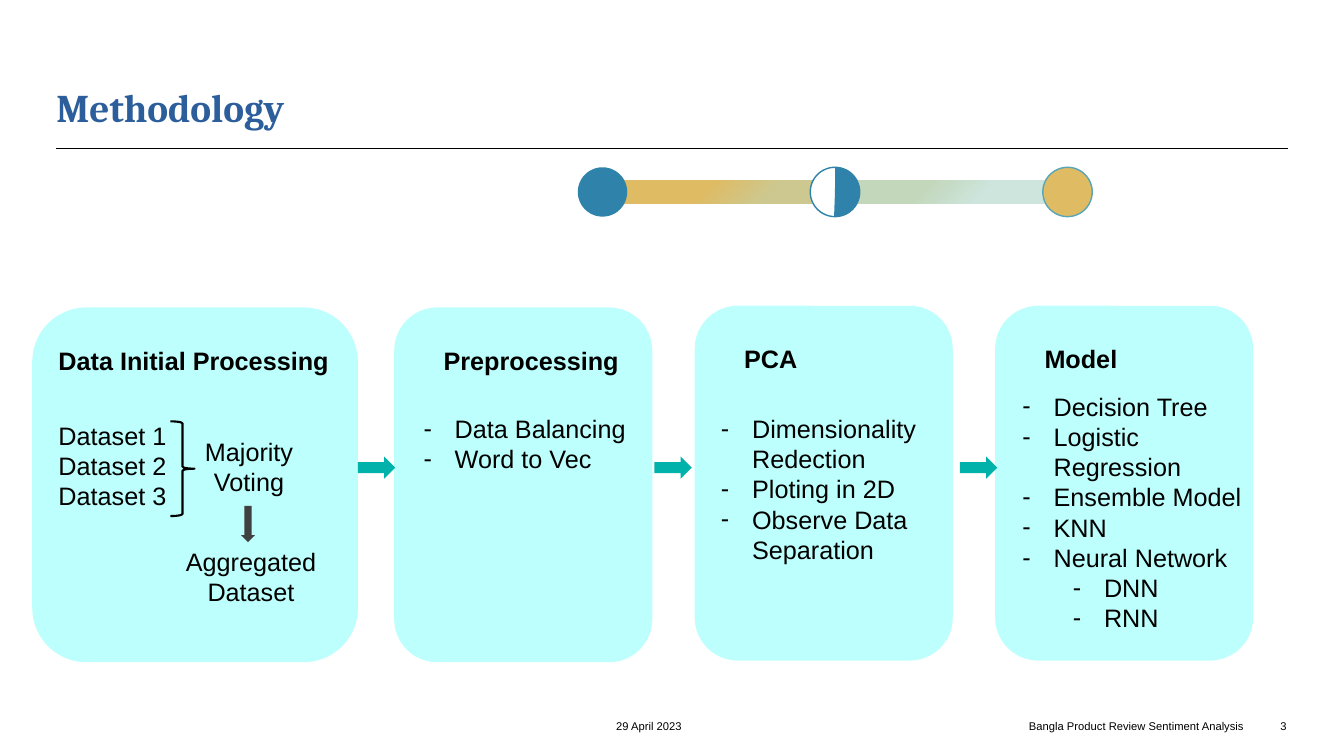
import pptx
import pptx.util
import pptx.dml.color
import pptx.enum.shapes
import pptx.enum.text
import pptx.oxml.ns
import lxml.etree

COLORS = {
    "ink": "000000", "title": "2C5E9B", "panel": "BDFFFC", "arrow": "00B2A9",
    "down": "404040", "blue": "2F82AA", "gold": "DFBB63", "rim": "58A5B6",
    "white": "FFFFFF", "olive": "CDC88F", "sage": "C3D7BB", "mint": "CDE5DD",
}
RGB = {name: pptx.dml.color.RGBColor.from_string(c) for name, c in COLORS.items()}
MSO = pptx.enum.shapes.MSO_SHAPE
ALIGN = pptx.enum.text.PP_ALIGN
ANCHOR = pptx.enum.text.MSO_ANCHOR
qn = pptx.oxml.ns.qn

prs = pptx.Presentation()
prs.slide_width = pptx.util.Inches(13.33)
prs.slide_height = pptx.util.Inches(7.5)
COL, ROW = prs.slide_width / 100, prs.slide_height / 100
s = prs.slides.add_slide(prs.slide_layouts[6])


def add_shape(kind, x, y, w, h, fill=None, line=None, width=1):
    """Place a preset shape on a grid of 100 columns by 100 rows."""
    sp = s.shapes.add_shape(kind, int(x * COL), int(y * ROW), int(w * COL), int(h * ROW))
    sp.shadow.inherit = False
    if fill:
        sp.fill.solid()
        sp.fill.fore_color.rgb = RGB[fill]
    else:
        sp.fill.background()
    if line:
        sp.line.color.rgb = RGB[line]
        sp.line.width = pptx.util.Pt(width)
    else:
        sp.line.fill.background()
    return sp


def add_text(text, x, y, w, h, size=18, bold=False, font="Arial", color="ink",
             align=ALIGN.LEFT, anchor=ANCHOR.TOP):
    """Place a text box without margins on the same grid."""
    tb = s.shapes.add_textbox(int(x * COL), int(y * ROW), int(w * COL), int(h * ROW))
    tf = tb.text_frame
    tf.word_wrap = True
    tf.vertical_anchor = anchor
    tf.margin_left = tf.margin_right = tf.margin_top = tf.margin_bottom = 0
    tf.text = text
    for p in tf.paragraphs:
        p.alignment = align
        for r in p.runs:
            r.font.name, r.font.size, r.font.bold = font, pptx.util.Pt(size), bold
            r.font.color.rgb = RGB[color]
    return tf


# Title and rule
tf = add_text("Methodology", 4.2, 12.13, 31, 5.2, 28, True, "Cambria", "title",
              anchor=ANCHOR.BOTTOM)
tf.paragraphs[0].line_spacing = 0.9
rule = s.shapes.add_connector(pptx.enum.shapes.MSO_CONNECTOR.STRAIGHT,
                              int(4.2 * COL), int(19.6 * ROW),
                              int(95.8 * COL), int(19.6 * ROW))
rule.line.color.rgb = RGB["ink"]
rule.line.width = pptx.util.Pt(0.75)
lxml.etree.SubElement(rule._element.spPr, qn("a:effectLst"))

# Progress track: gradient bars, then three dots
for i, stops in enumerate([[(0.26, "olive"), (0.58, "gold")],
                           [(0.34, "mint"), (0.65, "sage")]]):
    bar = add_shape(MSO.RECTANGLE, 46.44 + 17.25 * i, 23.87, 14.25, 3.07)
    bar.fill.gradient()
    for stop, (position, color) in zip(bar.fill.gradient_stops, stops):
        stop.position = position
        stop.color.rgb = RGB[color]
    grad = bar._element.spPr.find(qn("a:gradFill"))
    grad.remove(grad.find(qn("a:lin")))
    radial = lxml.etree.SubElement(grad, qn("a:path"), path="circle")
    lxml.etree.SubElement(radial, qn("a:fillToRect"), l="100000", t="100000")
    lxml.etree.SubElement(grad, qn("a:tileRect"), r="-100000", b="-100000")

DOT_X, DOT_STEP, DOT_BOX = 42.99, 17.3, (22.13, 3.68, 6.53)
for i, (fill, line) in enumerate([("blue", None), ("white", "blue"), ("gold", "rim")]):
    add_shape(MSO.OVAL, DOT_X + DOT_STEP * i, *DOT_BOX, fill, line)
half = add_shape(MSO.PIE, DOT_X + DOT_STEP, *DOT_BOX, "blue")
half.adjustments[0], half.adjustments[1] = 162.13, 55.27

# Panels: heading, left, top, width, heading inset, heading width
PANELS = [
    ("Data Initial Processing", 2.4, 40.67, 24.23, 1.95, 21.68),
    ("Preprocessing", 29.33, 40.67, 19.2, 3.68, 13.65),
    ("PCA", 51.69, 40.45, 19.2, 3.68, 13.65),
    ("Model", 74.04, 40.45, 19.2, 3.68, 13.65),
]
for heading, x, y, w, inset, heading_w in PANELS:
    add_shape(MSO.ROUNDED_RECTANGLE, x, y, w, 46.93, "panel")
    add_text(heading, x + inset, y + 5, heading_w, 5.2, bold=True)

# First panel: datasets are merged by voting
add_text("Dataset 1\nDataset 2\nDataset 3", 4.35, 55.6, 8.55, 12.67)
add_shape(MSO.RIGHT_BRACE, 12.68, 55.73, 1.8, 12.53, line="ink", width=1.5)
add_text("Majority Voting", 14.78, 57.73, 7.5, 7.6, align=ALIGN.CENTER)
add_shape(MSO.DOWN_ARROW, 17.93, 66.93, 1.05, 4.8, "down")
add_text("Aggregated Dataset", 12.75, 72.27, 11.85, 7.6, align=ALIGN.CENTER)

# Other panels: dashed lists, a tab marks the second level
LISTS = [
    (31.51, 54.67, 18.38, ["Data Balancing", "Word to Vec"]),
    (53.64, 54.67, 15.3, ["Dimensionality Redection", "Ploting in 2D",
                          "Observe Data Separation"]),
    (76.07, 51.73, 18.38, ["Decision Tree", "Logistic Regression", "Ensemble Model",
                           "KNN", "Neural Network", "\tDNN", "\tRNN"]),
]
HANG = pptx.util.Inches(0.31)
for x, y, w, items in LISTS:
    tf = add_text("\n".join(item.strip() for item in items), x, y, w, 9.47)
    for p, item in zip(tf.paragraphs, items):
        p.level = int(item.startswith("\t"))
        pPr = p._p.get_or_add_pPr()
        pPr.set("marL", str(HANG + p.level * pptx.util.Inches(0.5)))
        pPr.set("indent", str(-HANG))
        lxml.etree.SubElement(pPr, qn("a:buFont"), typeface="Arial")
        lxml.etree.SubElement(pPr, qn("a:buChar"), char="-")

# Arrows between the panels
for x in (26.63, 48.69, 71.42):
    add_shape(MSO.RIGHT_ARROW, x, 60.4, 2.78, 2.93, "arrow")

# Footer
add_text("29 April 2023", 45.84, 90.53, 12.15, 6.4, 8, anchor=ANCHOR.BOTTOM)
for text, x, w in [("Bangla Product Review Sentiment Analysis", 58.06, 34.51),
                   ("3", 92.5, 3.23)]:
    add_text(text, x, 91.6, w, 5.33, 8, align=ALIGN.RIGHT, anchor=ANCHOR.BOTTOM)

prs.save("out.pptx")
